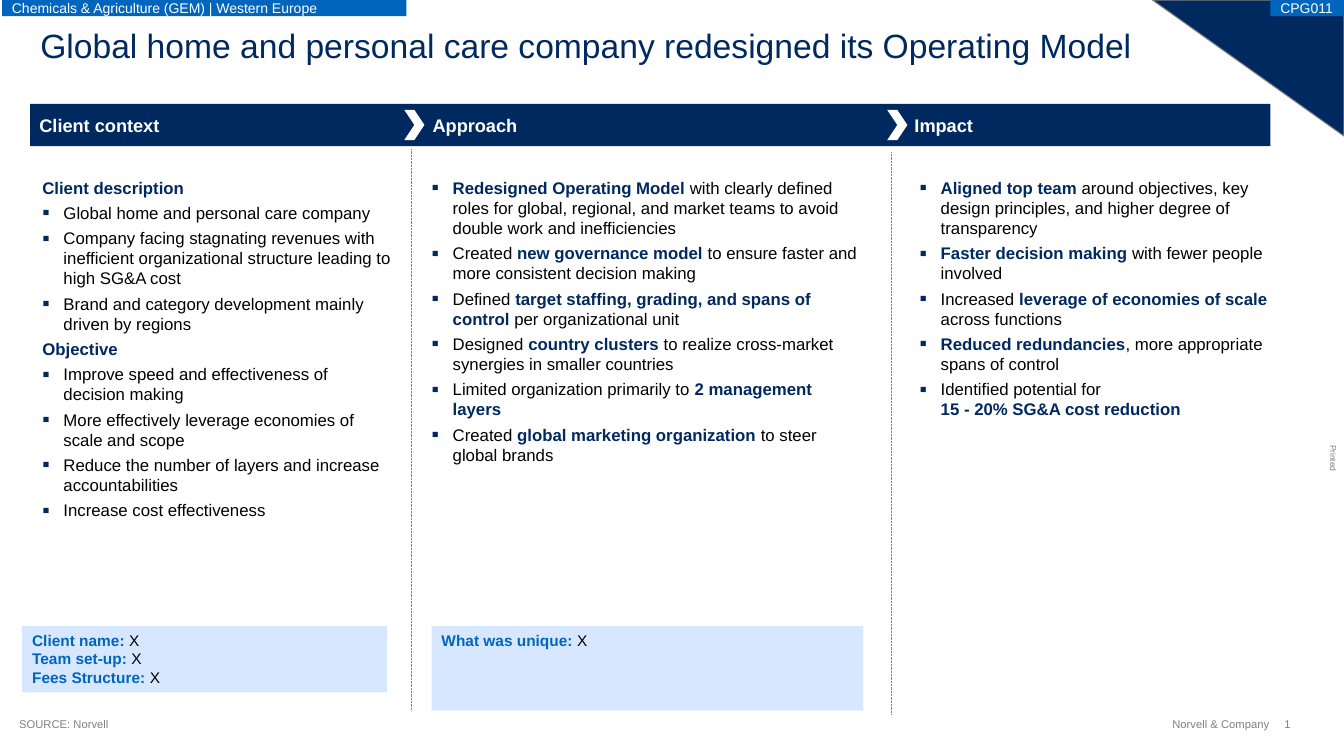
from dataclasses import dataclass
from typing import NamedTuple

from lxml.etree import SubElement
from pptx import Presentation
from pptx.dml.color import RGBColor
from pptx.enum.dml import MSO_LINE
from pptx.enum.shapes import MSO_CONNECTOR, MSO_SHAPE
from pptx.enum.text import MSO_ANCHOR, PP_ALIGN
from pptx.oxml.ns import qn
from pptx.shapes.autoshape import Shape
from pptx.slide import Slide
from pptx.text.text import _Paragraph
from pptx.util import Inches, Pt


@dataclass(frozen=True)
class Theme:
    font: str = "Arial"
    navy: str = "002960"
    blue: str = "0065BD"
    pale: str = "D6E7FF"
    white: str = "FFFFFF"
    black: str = "000000"
    gray: str = "808080"
    title: float = 24
    heading: float = 13
    body: float = 12
    facts: float = 11
    tag: float = 10
    footer: float = 8
    print_mark: float = 6
    body_gap: float = 3.6


class Box(NamedTuple):
    left: float
    top: float
    width: float
    height: float


class Label(NamedTuple):
    text: str
    box: Box
    size: float
    color: str
    bold: bool = False
    align: PP_ALIGN = PP_ALIGN.LEFT
    anchor: MSO_ANCHOR = MSO_ANCHOR.MIDDLE
    rotation: float = 0
    wrap: bool = True


class Panel(NamedTuple):
    box: Box
    fill: str
    lines: tuple[str, ...] = ()
    size: float = 0
    color: str = ""
    accent: str = ""
    inset: tuple[float, float, float, float] = (0.1, 0.05, 0.1, 0.05)
    anchor: MSO_ANCHOR = MSO_ANCHOR.TOP


class Column(NamedTuple):
    heading: str
    heading_left: float
    box: Box
    lines: tuple[str, ...]


class Divider(NamedTuple):
    chevron_left: float
    x: float
    top: float
    bottom: float


THEME = Theme()
BULLET = "- "
EMPHASIS = "**"
COLUMN_TOP = 1.76
FACTS_TOP = 6.21
FOOTER_TOP = 7.12

COLUMNS = (
    Column("Client context", 0.39, Box(0.42, COLUMN_TOP, 3.46, 3.51), (
        "**Client description**",
        "- Global home and personal care company",
        "- Company facing stagnating revenues with inefficient organizational structure leading to high SG&A cost",
        "- Brand and category development mainly driven by regions",
        "**Objective**",
        "- Improve speed and effectiveness of decision making",
        "- More effectively leverage economies of scale and scope",
        "- Reduce the number of layers and increase accountabilities",
        "- Increase cost effectiveness")),
    Column("Approach", 4.29, Box(4.28, COLUMN_TOP, 4.28, 2.93), (
        "- **Redesigned Operating Model **with clearly defined roles for global, regional, "
        "and market teams to avoid double work and inefficiencies",
        "- Created **new governance model **to ensure faster and more consistent decision making",
        "- Defined **target staffing, grading, and spans of control** per organizational unit",
        "- Designed **country clusters **to realize cross-market synergies in smaller countries",
        "- Limited organization primarily to **2 management layers**",
        "- Created **global marketing organization **to steer global brands")),
    Column("Impact", 9.07, Box(9.12, COLUMN_TOP, 3.48, 2.46), (
        "- **Aligned top team** around objectives, key design principles, and higher degree of transparency",
        "- **Faster decision making** with fewer people involved",
        "- Increased **leverage of economies of scale** across functions",
        "- **Reduced redundancies**, more appropriate spans of control",
        "- Identified potential for \n**15 - 20% SG&A cost reduction**")),
)

TAG_INSET = (0.1, 0, 0, 0)
PANELS = (
    Panel(Box(0.02, 0, 4.01, 0.16), THEME.blue, ("Chemicals & Agriculture (GEM) | Western Europe",),
          THEME.tag, THEME.white, inset=TAG_INSET, anchor=MSO_ANCHOR.MIDDLE),
    Panel(Box(12.6, 0, 0.73, 0.16), THEME.blue, ("CPG011",),
          THEME.tag, THEME.white, inset=TAG_INSET, anchor=MSO_ANCHOR.MIDDLE),
    Panel(Box(0.3, 1.03, 12.3, 0.42), THEME.navy),
    Panel(Box(0.22, FACTS_TOP, 3.62, 0.66), THEME.pale,
          ("**Client name: **X", "**Team set-up: **X", "**Fees Structure: **X"),
          THEME.facts, THEME.black, THEME.blue),
    Panel(Box(4.28, FACTS_TOP, 4.28, 0.84), THEME.pale, ("**What was unique: **X",),
          THEME.facts, THEME.black, THEME.blue),
)

LABELS = (
    Label("Global home and personal care company redesigned its Operating Model",
          Box(0.4, 0.25, 11.17, 0.4), THEME.title, THEME.navy, anchor=MSO_ANCHOR.TOP),
    Label("SOURCE: Norvell", Box(0.19, FOOTER_TOP, 7.87, 0.13), THEME.footer, THEME.gray),
    Label("Norvell & Company", Box(11.46, FOOTER_TOP, 1.13, 0.13), THEME.footer, THEME.gray,
          align=PP_ALIGN.RIGHT),
    Label("1", Box(12.74, FOOTER_TOP, 0.14, 0.13), THEME.footer, THEME.gray, wrap=False),
    Label("Printed", Box(13.09, 4.5, 0.27, 0.1), THEME.print_mark, THEME.gray,
          anchor=MSO_ANCHOR.TOP, rotation=90, wrap=False),
)

DIVIDERS = (Divider(4.01, 4.08, 1.48, 7.05), Divider(8.8, 8.84, 1.51, 7.09))


def rgb(color: str) -> RGBColor:
    return RGBColor.from_string(color)


def add_bullet(paragraph: _Paragraph) -> None:
    properties = paragraph._p.get_or_add_pPr()
    properties.set("marL", str(Inches(0.21)))
    properties.set("indent", str(-Inches(0.21)))
    bullet_color = SubElement(properties, qn("a:buClr"))
    SubElement(bullet_color, qn("a:srgbClr"), val=THEME.navy)
    SubElement(properties, qn("a:buSzPct"), val="125000")
    SubElement(properties, qn("a:buFont"), typeface=THEME.font)
    SubElement(properties, qn("a:buChar"), char="▪")


def write_text(shape: Shape, lines: tuple[str, ...], *, size: float, color: str, accent: str = "",
               bold: bool = False, align: PP_ALIGN = PP_ALIGN.LEFT, anchor: MSO_ANCHOR = MSO_ANCHOR.TOP,
               inset: tuple[float, float, float, float] = (0, 0, 0, 0), gap: float = 0,
               wrap: bool = True) -> None:
    """Write one paragraph per line; ** marks accented bold text and a leading dash a bullet."""
    frame = shape.text_frame
    frame.word_wrap = wrap
    frame.vertical_anchor = anchor
    frame.margin_left, frame.margin_top, frame.margin_right, frame.margin_bottom = map(Inches, inset)
    for row, line in enumerate(lines):
        paragraph = frame.add_paragraph() if row else frame.paragraphs[0]
        if line.startswith(BULLET):
            add_bullet(paragraph)
        paragraph.alignment = align
        paragraph.space_before = Pt(gap if row else 0)
        for order, part in enumerate(line.removeprefix(BULLET).split(EMPHASIS)):
            accented = order % 2 == 1
            for break_count, piece in enumerate(part.split("\n")):
                if break_count:
                    paragraph.add_line_break()
                if piece:
                    run = paragraph.add_run()
                    run.text = piece
                    run.font.name = THEME.font
                    run.font.size = Pt(size)
                    run.font.bold = bold or accented
                    run.font.color.rgb = rgb(accent if accented else color)


def add_filled(slide: Slide, kind: MSO_SHAPE, box: Box, fill: str) -> Shape:
    shape = slide.shapes.add_shape(kind, *map(Inches, box))
    shape.shadow.inherit = False
    shape.fill.solid()
    shape.fill.fore_color.rgb = rgb(fill)
    shape.line.fill.background()
    return shape


def add_corner(slide: Slide) -> None:
    corner = add_filled(slide, MSO_SHAPE.ISOSCELES_TRIANGLE, Box(11.43, 0, 1.9, 1.35), THEME.navy)
    corner.adjustments[0] = 0
    corner.rotation = 180
    corner.line.color.rgb = rgb(THEME.gray)
    corner.line.width = Pt(0.75)


def add_panel(slide: Slide, panel: Panel) -> None:
    shape = add_filled(slide, MSO_SHAPE.RECTANGLE, panel.box, panel.fill)
    if panel.lines:
        write_text(shape, panel.lines, size=panel.size, color=panel.color, accent=panel.accent,
                   inset=panel.inset, anchor=panel.anchor)


def add_label(slide: Slide, label: Label) -> None:
    shape = slide.shapes.add_textbox(*map(Inches, label.box))
    shape.rotation = label.rotation
    write_text(shape, (label.text,), size=label.size, color=label.color, bold=label.bold,
               align=label.align, anchor=label.anchor, wrap=label.wrap)


def add_column(slide: Slide, column: Column) -> None:
    add_label(slide, Label(column.heading, Box(column.heading_left, 1.12, 2.91, 0.24),
                           THEME.heading, THEME.white, bold=True))
    body = slide.shapes.add_textbox(*map(Inches, column.box))
    write_text(body, column.lines, size=THEME.body, color=THEME.black, accent=THEME.navy,
               gap=THEME.body_gap)


def add_divider(slide: Slide, divider: Divider) -> None:
    add_filled(slide, MSO_SHAPE.CHEVRON, Box(divider.chevron_left, 1.09, 0.2, 0.3), THEME.white)
    ends = (divider.x, divider.top, divider.x, divider.bottom)
    rule = slide.shapes.add_connector(MSO_CONNECTOR.STRAIGHT, *map(Inches, ends))
    rule.line.color.rgb = rgb(THEME.gray)
    rule.line.width = Pt(0.5)
    rule.line.dash_style = MSO_LINE.ROUND_DOT
    SubElement(rule._element.spPr, qn("a:effectLst"))


def main() -> None:
    deck = Presentation()
    deck.slide_width, deck.slide_height = Inches(13.33), Inches(7.35)
    slide = deck.slides.add_slide(deck.slide_layouts[6])
    add_corner(slide)
    for panel in PANELS:
        add_panel(slide, panel)
    for label in LABELS:
        add_label(slide, label)
    for column in COLUMNS:
        add_column(slide, column)
    for divider in DIVIDERS:
        add_divider(slide, divider)
    deck.save("out.pptx")


if __name__ == "__main__":
    main()
